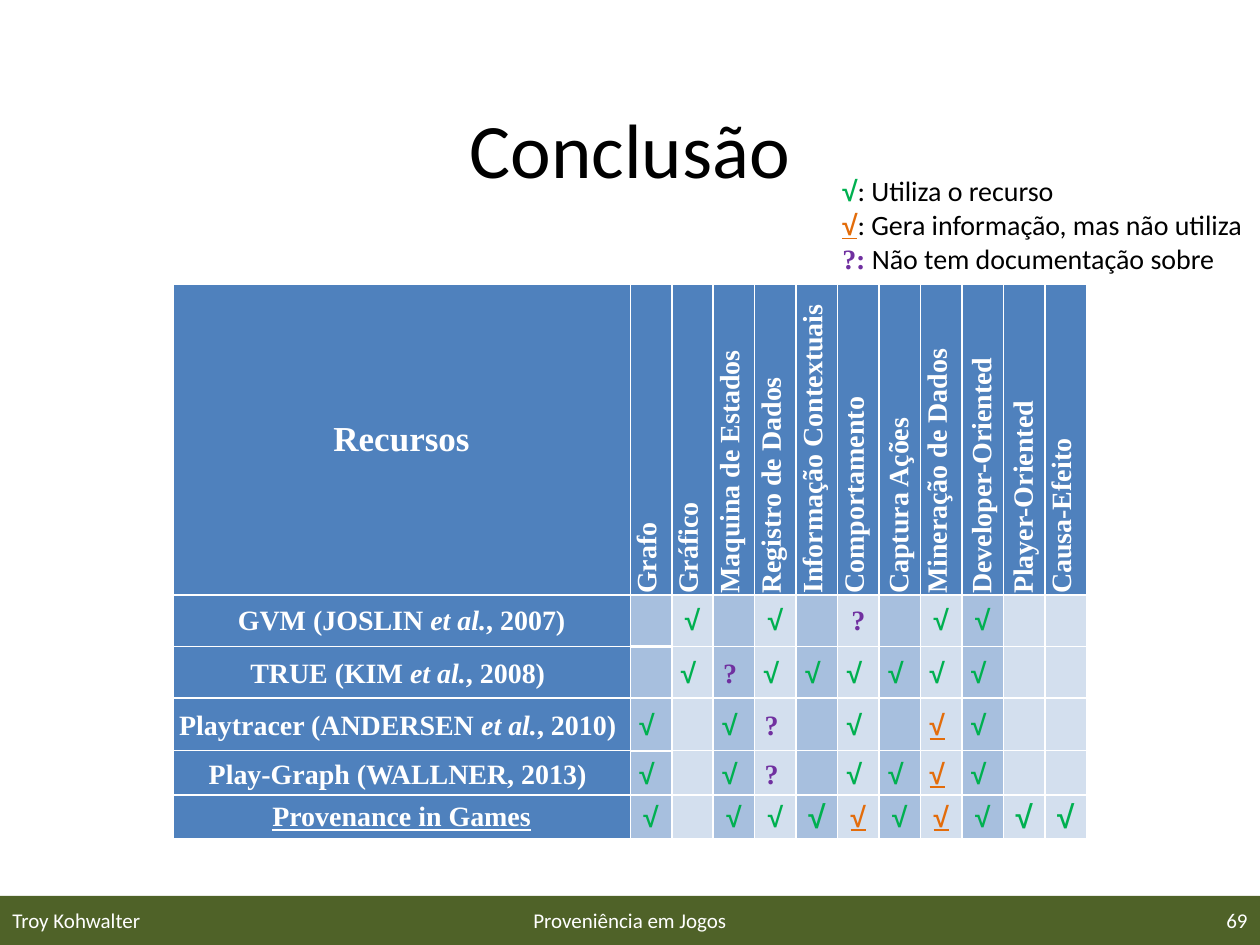
from lxml.etree import SubElement
from pptx import Presentation
from pptx.dml.color import RGBColor
from pptx.enum.shapes import MSO_SHAPE
from pptx.enum.text import MSO_ANCHOR, PP_ALIGN
from pptx.oxml.ns import qn
from pptx.util import Pt

WHITE = RGBColor(0xFF, 0xFF, 0xFF)
BLACK = RGBColor(0, 0, 0)
OLIVE = RGBColor(0x4F, 0x62, 0x28)
BLUE = RGBColor(0x4F, 0x81, 0xBD)
MID_BLUE = RGBColor(0xA7, 0xBF, 0xDE)
PALE_BLUE = RGBColor(0xD3, 0xDF, 0xEE)
GREEN = RGBColor(0x00, 0xB0, 0x50)
ORANGE = RGBColor(0xE3, 0x6C, 0x0A)
PURPLE = RGBColor(0x70, 0x30, 0xA0)
SANS, SERIF, SYMBOL = "Calibri", "Times New Roman", "Arial"

# Mark code: text, typeface, colour, underline
MARKS = {
    "v": ("√", SYMBOL, GREEN, None),
    "o": ("√", SYMBOL, ORANGE, True),
    "?": ("?", SERIF, PURPLE, None),
}
LEGEND = [
    ("v", "", ": Utiliza o recurso"),
    ("o", "", ": Gera informação, mas não utiliza"),
    ("?", ":", " Não tem documentação sobre"),
]
FEATURES = [
    "Grafo", "Gráfico", "Maquina de Estados", "Registro de Dados",
    "Informação Contextuais", "Comportamento", "Captura Ações ",
    "Mineração de Dados", "Developer-Oriented ", "Player-Oriented ",
    "Causa-Efeito",
]
# Label, one mark code per feature ("." is empty), text after each entry
WORKS = [
    ("GVM (JOSLIN et al., 2007)", ".v.v.?.vv..", ""),
    ("TRUE (KIM et al., 2008)", ".v?vvvvvv..", " "),
    ("Playtracer (ANDERSEN et al., 2010)", "v.v?.v.ov..", " "),
    ("Play-Graph (WALLNER, 2013)", "v.v?.vvov..", " "),
    ("Provenance in Games", "v.vvvovovvv", ""),
]
LARGE_MARKS = (5, 10, 11)  # columns with larger marks in the last row
ROW_HEIGHTS = (177.8, 29.4, 29.6, 30, 25.2, 25.2)
LABEL_WIDTH, FEATURE_WIDTH = 261.4, 23.7


def style(font, name, size, color, bold=False, underline=None):
    font.name, font.size, font.bold = name, Pt(size), bold
    font.color.rgb = color
    font.underline = underline


def add_span(para, text, *look):
    span = para.add_run()
    span.text = text
    style(span.font, *look)
    return span


def add_tail(para, tail):
    if tail:
        add_span(para, tail, SERIF, 18, BLACK)


def add_title(page, left, top, width, height):
    title = page.shapes.title
    title.left, title.top, title.width, title.height = map(Pt, (left, top, width, height))
    title.text_frame.vertical_anchor = MSO_ANCHOR.MIDDLE
    para = title.text_frame.paragraphs[0]
    para.text = "Conclusão"
    para.alignment = PP_ALIGN.CENTER
    style(para.font, SANS, 44, BLACK)


def add_footer(page, left, top, width, height):
    bar = page.shapes.add_shape(MSO_SHAPE.RECTANGLE, Pt(left), Pt(top), Pt(width), Pt(height))
    bar.shadow.inherit = False
    bar.fill.solid()
    bar.fill.fore_color.rgb = OLIVE
    bar.line.fill.background()
    parts = [
        ("Troy Kohwalter", 0, 168, PP_ALIGN.LEFT),
        ("Proveniência em Jogos", 246, 228, PP_ALIGN.CENTER),
        ("69", width - 168, 168, PP_ALIGN.RIGHT),
    ]
    for text, offset, part_width, alignment in parts:
        box = page.shapes.add_textbox(Pt(left + offset), Pt(top - 0.5), Pt(part_width), Pt(height + 0.5))
        frame = box.text_frame
        frame.word_wrap = True
        frame.vertical_anchor = MSO_ANCHOR.MIDDLE
        para = frame.paragraphs[0]
        para.text = text
        para.alignment = alignment
        style(para.font, SANS, 12, WHITE)


def add_legend(page, left, top, width, height):
    box = page.shapes.add_textbox(Pt(left), Pt(top), Pt(width), Pt(height))
    frame = box.text_frame
    frame.word_wrap = False
    for index, (code, suffix, meaning) in enumerate(LEGEND):
        para = frame.add_paragraph() if index else frame.paragraphs[0]
        text, name, color, underline = MARKS[code]
        add_span(para, text + suffix, name, 16, color, True, underline)
        add_span(para, meaning, SANS, 16, BLACK)


def prepare_cell(cell, color, across=1):
    """Set borders, fill and margins; return the cell's paragraph."""
    properties = cell._tc.get_or_add_tcPr()
    for side, weight in (("L", 1), ("R", 1), ("T", across), ("B", across)):
        line = SubElement(properties, qn(f"a:ln{side}"), w=str(Pt(weight)))
        fill = SubElement(line, qn("a:solidFill"))
        SubElement(fill, qn("a:srgbClr"), val=str(WHITE))
    cell.fill.solid()
    cell.fill.fore_color.rgb = color
    cell.margin_left = cell.margin_right = cell.margin_top = Pt(0.7)
    cell.margin_bottom = Pt(0)
    cell.vertical_anchor = MSO_ANCHOR.MIDDLE
    para = cell.text_frame.paragraphs[0]
    para.alignment = PP_ALIGN.CENTER
    return para


def add_label(para, label, tail, underline):
    before, italic, after = label.partition("et al.")
    for text in filter(None, (before, italic, after)):
        span = add_span(para, text, SERIF, 16, WHITE, True, underline)
        if text == italic:
            span.font.italic = True
    add_tail(para, tail)


def add_comparison(page, left, top, width, height):
    frame = page.shapes.add_table(len(WORKS) + 1, len(FEATURES) + 1,
                                  Pt(left), Pt(top), Pt(width), Pt(height))
    table = frame.table
    for column in table.columns:
        column.width = Pt(FEATURE_WIDTH)
    table.columns[0].width = Pt(LABEL_WIDTH)
    for row, row_height in zip(table.rows, ROW_HEIGHTS):
        row.height = Pt(row_height)

    # Header row with upright feature names
    para = prepare_cell(table.cell(0, 0), BLUE)
    para.text = "Recursos"
    style(para.font, SERIF, 20, WHITE, True)
    for column, feature in enumerate(FEATURES, 1):
        cell = table.cell(0, column)
        para = prepare_cell(cell, BLUE, 1.5 if column == 1 else 1)
        cell._tc.tcPr.set("vert", "vert270")
        para.alignment = PP_ALIGN.LEFT
        name = feature.rstrip()
        add_span(para, name, SERIF, 16, WHITE, True)
        add_tail(para, feature[len(name):])

    # One row for each work
    for row, (label, codes, tail) in enumerate(WORKS, 1):
        last = row == len(WORKS)
        add_label(prepare_cell(table.cell(row, 0), BLUE), label, tail, last or None)
        for column, code in enumerate(codes, 1):
            color = MID_BLUE if column % 2 and column < len(FEATURES) else PALE_BLUE
            para = prepare_cell(table.cell(row, column), color, 1.5 if column == 1 else 1)
            if code == ".":
                para.font.size = Pt(16)
                continue
            text, name, mark_color, underline = MARKS[code]
            size = 18 if last and column in LARGE_MARKS else 16
            add_span(para, text, name, size, mark_color, True, underline)
            add_tail(para, tail)


def main():
    deck = Presentation()
    deck.slide_width, deck.slide_height = Pt(720), Pt(540)
    page = deck.slides.add_slide(deck.slide_layouts[5])
    add_footer(page, 0, 512, 720, 28)
    add_title(page, 36, 39.6, 648, 90)
    add_comparison(page, 98.8, 162.2, 522, 317.2)
    add_legend(page, 474.2, 95.8, 245.8, 65.5)
    deck.save("out.pptx")


if __name__ == "__main__":
    main()
